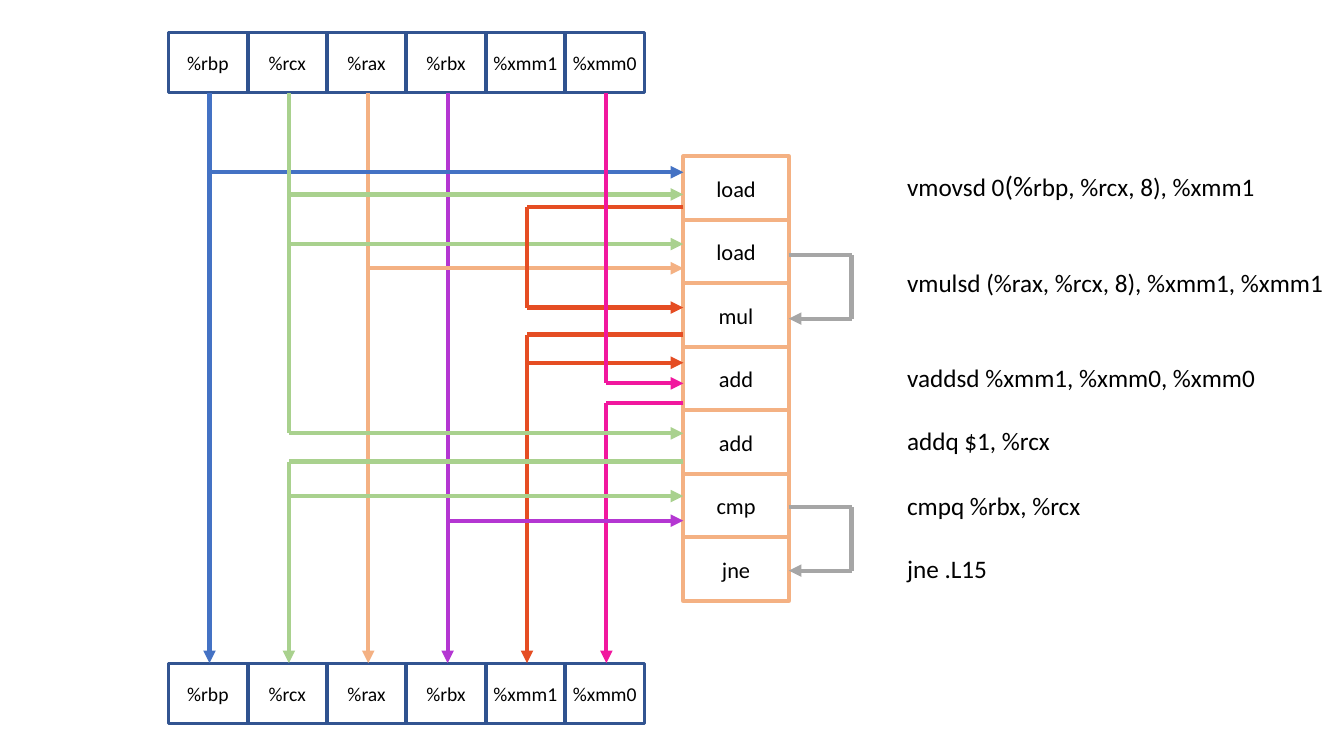
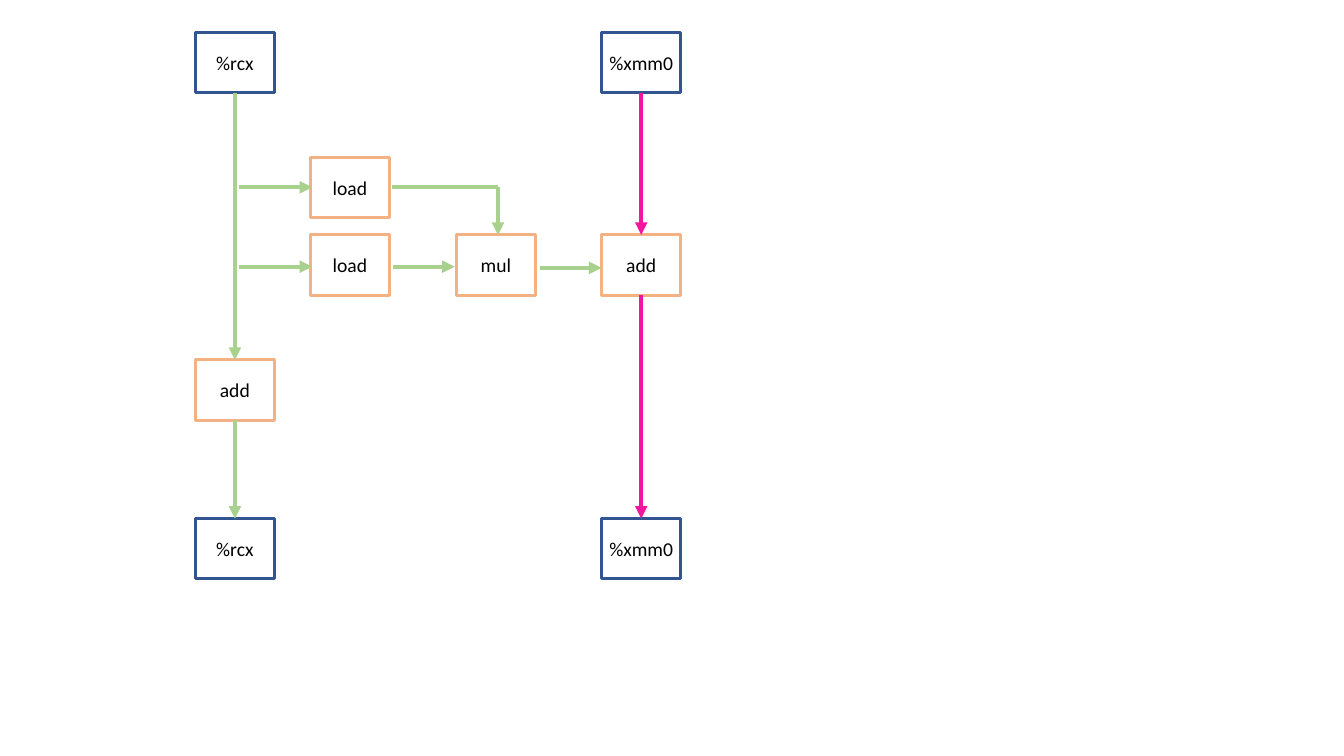
"""Build two data-flow diagrams of an assembly loop."""
from itertools import pairwise

from lxml import etree
from pptx import Presentation
from pptx.dml.color import RGBColor
from pptx.enum import shapes, text
from pptx.oxml.ns import qn
from pptx.util import Cm, Pt

NAVY = RGBColor(0x32, 0x54, 0x91)
DIVIDER = RGBColor(0x2F, 0x52, 0x8F)
BLUE = RGBColor(0x44, 0x72, 0xC4)
GREEN = RGBColor(0xA9, 0xD1, 0x8E)
PEACH = RGBColor(0xF4, 0xB1, 0x83)
PURPLE = RGBColor(0xB4, 0x36, 0xD2)
RED = RGBColor(0xE5, 0x4D, 0x23)
PINK = RGBColor(0xF1, 0x17, 0x9E)
GRAY = RGBColor(0xA6, 0xA6, 0xA6)
BLACK = RGBColor(0, 0, 0)
FONT = "Calibri"

CELL_W, CELL_H = 2, 1.52
REGISTERS = ["%rbp", "%rcx", "%rax", "%rbx", "%xmm1", "%xmm0"]
UNITS = ["load", "load", "mul", "add", "add", "cmp", "jne"]
UNIT_W, UNIT_H = 2.66, 1.6
CODE = [
    (4.67, [("vmovsd 0", None), ("(%", 20), ("rbp, %rcx, 8), %xmm1", None)]),
    (7.11, [("vmulsd (%rax, %rcx, 8), %xmm1, %xmm1", None)]),
    (9.5, [("vaddsd %xmm1, %xmm0, %xmm0", None)]),
    (11.1, [("addq $1, %rcx", None)]),
    (12.73, [("cmpq %rbx, %rcx", None)]),
    (14.33, [("jne .L15", None)]),
]


def write(sp, runs, size, align=text.PP_ALIGN.CENTER):
    """Put one line of runs in a shape, centred vertically."""
    tf = sp.text_frame
    tf.word_wrap = False
    tf.vertical_anchor = text.MSO_ANCHOR.MIDDLE
    tf.margin_left = tf.margin_right = tf.margin_top = tf.margin_bottom = 0
    p = tf.paragraphs[0]
    p.alignment = align
    p.font.name, p.font.size, p.font.color.rgb = FONT, Pt(size), BLACK
    for content, run_size in runs:
        r = p.add_run()
        r.text = content
        if run_size:
            r.font.size = Pt(run_size)


def add_label(parent, x, y, w, h, runs, size, align=text.PP_ALIGN.CENTER):
    """Add a text box."""
    write(parent.add_textbox(Cm(x), Cm(y), Cm(w), Cm(h)), runs, size, align)


def add_frame(parent, x, y, w, h, color, weight=2.25):
    """Add an unfilled outlined rectangle."""
    sp = parent.add_shape(shapes.MSO_SHAPE.RECTANGLE, Cm(x), Cm(y), Cm(w), Cm(h))
    sp.shadow.inherit = False
    sp.fill.background()
    sp.line.color.rgb, sp.line.width = color, Pt(weight)
    return sp


def add_wire(parent, color, *points, arrow=True):
    """Join points with straight lines, the last one ending in an arrowhead."""
    for (x1, y1), (x2, y2) in pairwise(points):
        line = parent.add_connector(
            shapes.MSO_CONNECTOR.STRAIGHT, Cm(x1), Cm(y1), Cm(x2), Cm(y2))
        line.line.color.rgb, line.line.width = color, Pt(3)
        etree.SubElement(line._element.spPr, qn("a:effectLst"))
    if arrow:
        ln = line.line._get_or_add_ln()
        etree.SubElement(ln, qn("a:tailEnd"), type="triangle")


def add_register_row(s, x, y):
    """Add the row of register cells as one group."""
    group = s.shapes.add_group_shape().shapes
    add_frame(group, x, y, CELL_W * len(REGISTERS), CELL_H, NAVY)
    for i, name in enumerate(REGISTERS):
        left = x + CELL_W * i
        if i:
            add_wire(group, DIVIDER, (left, y), (left, y + CELL_H), arrow=False)
        add_label(group, left, y, CELL_W, CELL_H, [(name, None)], 14)


def add_unit_column(s, x, y):
    """Add the column of functional units as one group."""
    group = s.shapes.add_group_shape().shapes
    add_frame(group, x, y, UNIT_W, UNIT_H * len(UNITS), PEACH, 3)
    for i, name in enumerate(UNITS):
        top = y + UNIT_H * i
        if i:
            add_wire(group, PEACH, (x, top), (x + UNIT_W, top), arrow=False)
        add_label(group, x, top, UNIT_W, UNIT_H, [(name, None)], 16)


def build_loop_slide(s):
    """Draw the registers, the units and the wires between them."""
    top, bottom, port = 2.34, 16.71, 17.22
    rbp, rcx, rax, rbx, xmm1, xmm0 = (5.28 + CELL_W * i for i in range(6))
    add_register_row(s, 4.24, top - CELL_H)
    add_register_row(s, 4.24, bottom)
    add_unit_column(s, port, 3.94)

    for color, lane in ((BLUE, rbp), (PEACH, rax), (PURPLE, rbx)):
        add_wire(s.shapes, color, (lane, top), (lane, bottom))
    for color, lane, y in ((RED, xmm1, 8.43), (PINK, xmm0, 10.16), (GREEN, rcx, 11.63)):
        add_wire(s.shapes, color, (port, y), (lane, y), (lane, bottom))
    for color, lane, y in (
            (BLUE, rbp, 4.34), (GREEN, rcx, 4.9), (GREEN, rcx, 6.15), (PEACH, rax, 6.76),
            (RED, xmm1, 9.14), (GREEN, rcx, 12.5), (PURPLE, rbx, 13.12)):
        add_wire(s.shapes, color, (lane, y), (port, y))
    add_wire(s.shapes, RED, (port, 5.21), (xmm1, 5.21), (xmm1, 7.75), (port, 7.75))
    for color, lane, y in ((GREEN, rcx, 10.92), (PINK, xmm0, 9.66)):
        add_wire(s.shapes, color, (lane, top), (lane, y), (port, y))

    right = port + UNIT_W
    for y in (6.43, 12.78):
        add_wire(s.shapes, GRAY, (right, y), (right + 1.58, y),
                 (right + 1.58, y + UNIT_H), (right, y + UNIT_H))
    for y, runs in CODE:
        add_label(s.shapes, 22.86, y - 0.5, 11, 1, runs, 18, text.PP_ALIGN.LEFT)


def build_critical_path_slide(s):
    """Draw the operations that link one iteration to the next."""
    rcx, load, mul, xmm0 = 4.92, 7.82, 11.5, 15.16
    for color, name, x, y in (
            (NAVY, "%rcx", rcx, 0.82), (NAVY, "%xmm0", xmm0, 0.82),
            (PEACH, "load", load, 3.96), (PEACH, "load", load, 5.92),
            (PEACH, "mul", mul, 5.92), (PEACH, "add", xmm0, 5.92),
            (PEACH, "add", rcx, 9.07),
            (NAVY, "%rcx", rcx, 13.07), (NAVY, "%xmm0", xmm0, 13.07)):
        write(add_frame(s.shapes, x, y, CELL_W, CELL_H, color), [(name, None)], 14)
    for color, *points in (
            (GREEN, (5.92, 2.34), (5.92, 9.07)),
            (GREEN, (5.92, 10.59), (5.92, 13.07)),
            (GREEN, (6.02, 4.72), (7.87, 4.72)),
            (GREEN, (6.02, 6.72), (7.87, 6.72)),
            (GREEN, (9.9, 6.72), (11.46, 6.72)),
            (GREEN, (9.88, 4.72), (12.55, 4.72), (12.55, 5.92)),
            (GREEN, (13.61, 6.75), (15.16, 6.75)),
            (PINK, (16.16, 2.34), (16.16, 5.92)),
            (PINK, (16.16, 7.44), (16.16, 13.07))):
        add_wire(s.shapes, color, *points)


def main():
    """Build and save the presentation."""
    prs = Presentation()
    prs.slide_width, prs.slide_height = Cm(33.87), Cm(19.05)
    for build in (build_loop_slide, build_critical_path_slide):
        build(prs.slides.add_slide(prs.slide_layouts[6]))
    prs.save("out.pptx")


if __name__ == "__main__":
    main()
